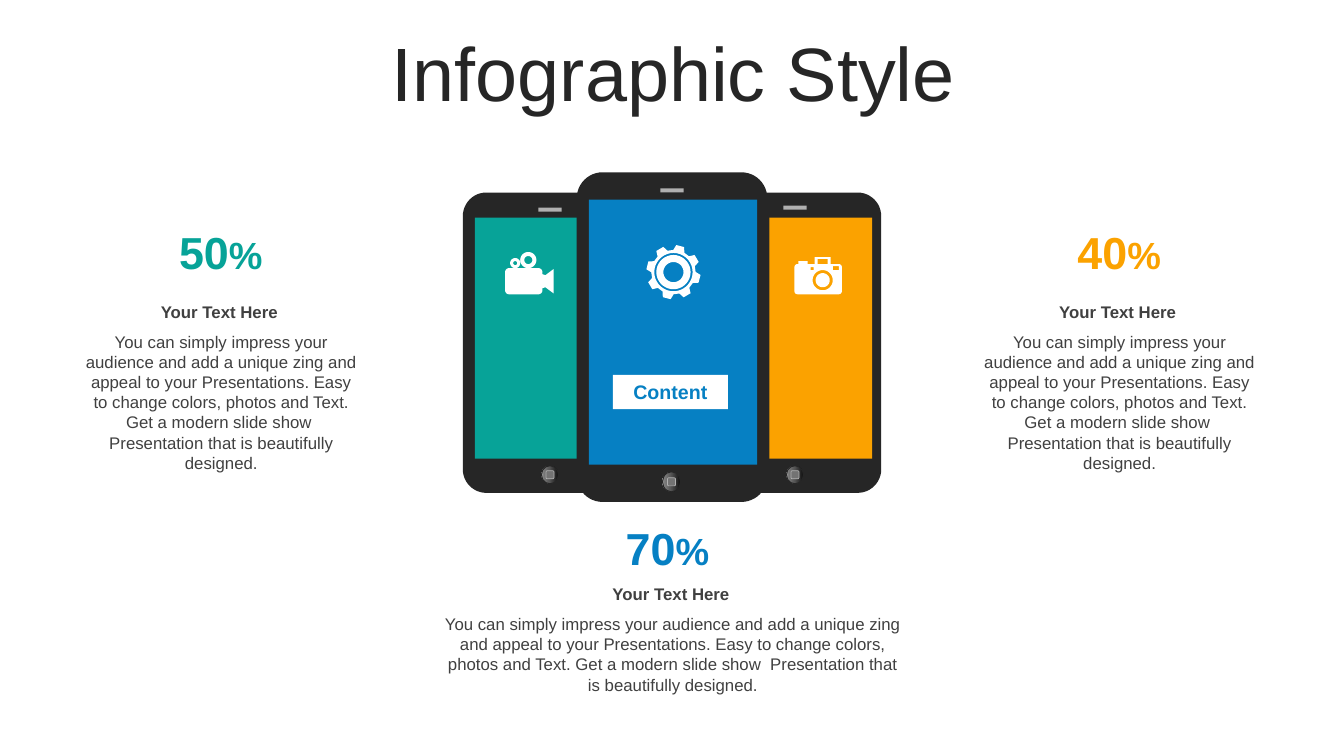
import copy
import dataclasses
import math

import pptx
import pptx.dml.color
import pptx.enum.shapes
import pptx.enum.text
import pptx.oxml.ns
import pptx.util

Inches = pptx.util.Inches
Pt = pptx.util.Pt
Shape = pptx.enum.shapes.MSO_SHAPE
Anchor = pptx.enum.text.MSO_ANCHOR


@dataclasses.dataclass(frozen=True)
class Theme:
    font: str = "Arial"
    white: str = "FFFFFF"
    dark: str = "262626"
    text: str = "404040"
    speaker: str = "B0B0B0"
    key: str = "737373"
    teal: str = "07A398"
    blue: str = "0680C3"
    orange: str = "FBA200"
    button_stops: tuple = ((0, "0F0F0F"), (0.56, "595959"), (0.91, "808080"), (1, "BFBFBF"))
    title_size: int = 54
    number_size: int = 32
    percent_size: int = 27
    label_size: int = 14
    body_size: int = 12


THEME = Theme()
BODY_TEXT = (
    "You can simply impress your audience and add a unique zing and appeal to your "
    "Presentations. Easy to change colors, photos and Text. Get a modern slide show  "
    "Presentation that is beautifully designed."
)


def rgb(color):
    return pptx.dml.color.RGBColor.from_string(color)


def paint(shape, fill, line=None, width=0.5):
    shape.shadow.inherit = False
    shape.fill.solid()
    shape.fill.fore_color.rgb = rgb(fill)
    if line:
        shape.line.color.rgb = rgb(line)
        shape.line.width = Pt(width)
    else:
        shape.line.fill.background()


def add_block(shapes, kind, left, top, width, height, fill, line=None):
    block = shapes.add_shape(kind, Inches(left), Inches(top), Inches(width), Inches(height))
    paint(block, fill, line)
    return block


def write(shape, pieces, color, bold=False, anchor=Anchor.TOP):
    """Fill a shape with one centred paragraph of (text, size) pieces."""
    frame = shape.text_frame
    frame.word_wrap = True
    frame.vertical_anchor = anchor
    para = frame.paragraphs[0]
    para.alignment = pptx.enum.text.PP_ALIGN.CENTER
    for text, size in pieces:
        span = para.add_run()
        span.text = text
        span.font.name = THEME.font
        span.font.size = Pt(size)
        span.font.bold = bold
        span.font.color.rgb = rgb(color)
    return para


def add_text(page, left, top, width, height, pieces, color, **style):
    box = page.shapes.add_textbox(Inches(left), Inches(top), Inches(width), Inches(height))
    write(box, pieces, color, **style)


def add_title(page, text):
    title = page.shapes.title
    title.left, title.top = Inches(0.35), Inches(0.37)
    title.width, title.height = Inches(12.66), Inches(0.79)
    para = write(title, [(text, THEME.title_size)], THEME.dark, anchor=Anchor.MIDDLE)
    para.line_spacing = 0.9


def add_home_button(shapes, left, top, width, height):
    button = add_block(shapes, Shape.OVAL, left, top, width, height, THEME.key, THEME.dark)
    button.line.width = Pt(0)
    button.fill.gradient()
    button.fill.gradient_angle = 180
    stop_list = next(button._element.iter(pptx.oxml.ns.qn("a:gsLst")))
    for _ in range(len(THEME.button_stops) - len(stop_list)):
        stop_list.append(copy.deepcopy(stop_list[0]))
    for stop, (position, color) in zip(button.fill.gradient_stops, THEME.button_stops):
        stop.position = position
        stop.color.rgb = rgb(color)
    add_block(shapes, Shape.ROUNDED_RECTANGLE, left + width / 2 - 0.04, top + height / 2 - 0.04,
              0.08, 0.08, THEME.key, THEME.speaker)


def add_phone(page, body, speaker, button, screen, color):
    """Draw a phone; body, button and screen are left, top, width, height; speaker is left, top."""
    shapes = page.shapes.add_group_shape().shapes
    case = add_block(shapes, Shape.ROUNDED_RECTANGLE, *body, THEME.dark)
    case.adjustments[0] = 0.136
    add_block(shapes, Shape.RECTANGLE, *speaker, 0.23, 0.04, THEME.speaker)
    add_home_button(shapes, *button)
    add_block(shapes, Shape.RECTANGLE, *screen, color)


def add_number(page, center, top, number, color):
    pieces = [(number, THEME.number_size), ("%", THEME.percent_size)]
    add_text(page, center - 0.59, top, 1.18, 0.64, pieces, color, bold=True, anchor=Anchor.MIDDLE)


def add_caption(page, left, top, width, body_height):
    add_text(page, left - 0.01, top, width - 0.02, 0.3,
             [("Your Text Here", THEME.body_size)], THEME.text, bold=True)
    add_text(page, left, top + 0.3, width, body_height,
             [(BODY_TEXT, THEME.body_size)], THEME.text)


def polar(x, y, radius, degrees):
    angle = math.radians(degrees)
    return x + radius * math.sin(angle), y - radius * math.cos(angle)


def circle(x, y, radius):
    return [polar(x, y, radius, degrees) for degrees in range(0, 360, 10)]


def rounded_box(left, top, width, height, radius=0):
    if not radius:
        return [(left, top), (left + width, top), (left + width, top + height), (left, top + height)]
    near_x, far_x = left + radius, left + width - radius
    near_y, far_y = top + radius, top + height - radius
    corners = [(far_x, near_y), (far_x, far_y), (near_x, far_y), (near_x, near_y)]
    return [polar(x, y, radius, 90 * quarter + turn)
            for quarter, (x, y) in enumerate(corners) for turn in range(0, 91, 15)]


def gear_teeth(x, y, root, tip, count=8, first=14.5):
    corners = [(root, -15), (tip, -8.5), (tip, 8.5), (root, 15)]
    return [polar(x, y, radius, first + tooth * 360 / count + turn)
            for tooth in range(count) for radius, turn in corners]


def add_icon(page, contours):
    """Draw contours as one white shape; an inner contour cuts a hole."""
    contours = [[(Inches(x), Inches(y)) for x, y in contour] for contour in contours]
    builder = page.shapes.build_freeform(*contours[0][0])
    builder.add_line_segments(contours[0][1:], close=True)
    for contour in contours[1:]:
        builder.move_to(*contour[0])
        builder.add_line_segments(contour[1:], close=True)
    paint(builder.convert_to_shape(), THEME.white)


def add_icons(page):
    gear = [gear_teeth(6.68, 2.7, 0.22, 0.27)]
    gear += [circle(6.68, 2.7, radius) for radius in (0.19, 0.17, 0.1)]
    camera = [
        rounded_box(7.88, 2.62, 0.47, 0.3, 0.03),
        rounded_box(7.92, 2.59, 0.09, 0.03),
        rounded_box(8.08, 2.55, 0.16, 0.07),
        rounded_box(8.11, 2.57, 0.1, 0.05),
        rounded_box(8.04, 2.65, 0.03, 0.03),
        rounded_box(8.26, 2.64, 0.06, 0.04),
        circle(8.16, 2.78, 0.1),
        circle(8.16, 2.78, 0.07),
    ]
    camcorder = [
        rounded_box(5.01, 2.66, 0.37, 0.26, 0.04),
        [(5.38, 2.72), (5.41, 2.73), (5.49, 2.67), (5.49, 2.91), (5.41, 2.85), (5.38, 2.86)],
        circle(5.24, 2.58, 0.08),
        circle(5.24, 2.58, 0.04),
        circle(5.11, 2.61, 0.05),
        circle(5.11, 2.61, 0.02),
    ]
    for contours in (gear, camera, camcorder):
        add_icon(page, contours)


def main():
    deck = pptx.Presentation()
    deck.slide_width, deck.slide_height = Inches(13.33), Inches(7.5)
    page = deck.slides.add_slide(deck.slide_layouts.get_by_name("Title Only"))
    add_title(page, "Infographic Style")

    for left, screen_left, speaker_top, color in (
        (7.02, 7.63, 2.04, THEME.orange),
        (4.59, 4.71, 2.06, THEME.teal),
    ):
        add_phone(page, (left, 1.91, 1.72, 2.98), (left + 0.75, speaker_top),
                  (left + 0.78, 4.62, 0.17, 0.18), (screen_left, 2.16, 1.02, 2.39), color)
    add_phone(page, (5.72, 1.71, 1.89, 3.27), (6.55, 1.87), (6.57, 4.68, 0.18, 0.2),
              (5.84, 1.98, 1.67, 2.63), THEME.blue)

    add_number(page, 2.19, 2.18, "50", THEME.teal)
    add_number(page, 11.1, 2.18, "40", THEME.orange)
    add_number(page, 6.62, 5.11, "70", THEME.blue)
    add_caption(page, 0.74, 2.94, 2.91, 1.51)
    add_caption(page, 9.65, 2.94, 2.91, 1.51)
    add_caption(page, 4.31, 5.74, 4.73, 0.91)

    label = add_block(page.shapes, Shape.RECTANGLE, 6.08, 3.72, 1.14, 0.34, THEME.white)
    write(label, [("Content", THEME.label_size)], THEME.blue, bold=True, anchor=Anchor.MIDDLE)
    add_icons(page)
    deck.save("out.pptx")


if __name__ == "__main__":
    main()
